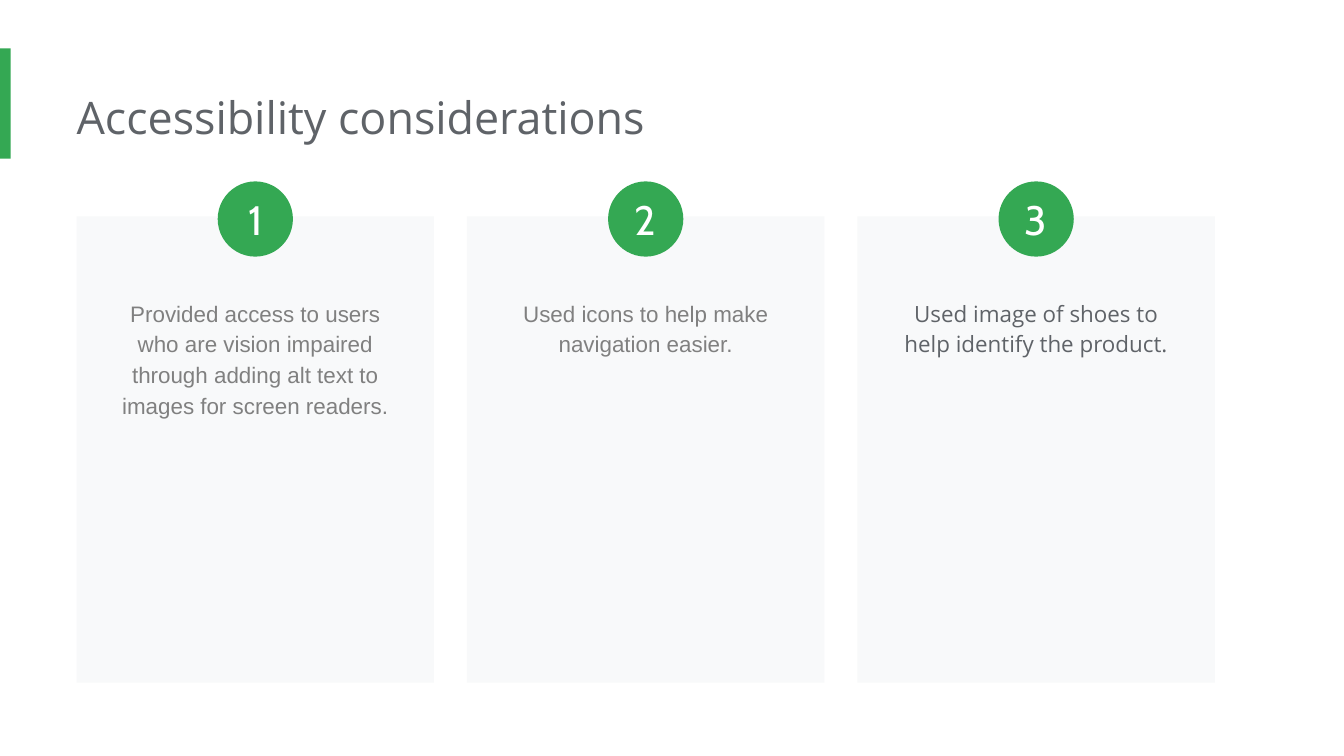
"""Build the accessibility considerations slide with three numbered cards."""
from pptx import Presentation, util as u
from pptx.dml.color import RGBColor
from pptx.enum import shapes, text

TITLE = "Accessibility considerations"
COLORS = {"green": "34A853", "card": "F8F9FA", "dark": "5F6368", "gray": "808080", "white": "FFFFFF"}
CARDS = [
    ("Provided access to users who are vision impaired through adding alt text to images for screen readers.",
     "Arial", "gray", 1.13),
    ("Used icons to help make navigation easier.", "Arial", "gray", 0.67),
    ("Used image of shoes to help identify the product.", "Open Sans", "dark", 0.67),
]
SLIDE_WIDTH = 10
SLIDE_HEIGHT = SLIDE_WIDTH * 9 / 16
LEFT, LAST_LEFT, TOP, WIDTH, HEIGHT = 0.57, 6.38, 1.61, 2.66, 3.47
PITCH = (LAST_LEFT - LEFT) / (len(CARDS) - 1)
TEXT_TOP, TEXT_WIDTH = 2.1, 2.24
BADGE_TOP, BADGE = 1.35, 0.56


def inches(*lengths):
    return [u.Inches(length) for length in lengths]


def write(box, words, *, font, size, color, align=text.PP_ALIGN.LEFT,
          anchor=text.MSO_ANCHOR.TOP, insets=(0.1, 0.1, 0.1, 0.1), spacing=1.0):
    frame = box.text_frame
    frame.word_wrap = True
    frame.auto_size = text.MSO_AUTO_SIZE.NONE
    frame.vertical_anchor = anchor
    frame.margin_left, frame.margin_top, frame.margin_right, frame.margin_bottom = inches(*insets)
    para = frame.paragraphs[0]
    para.alignment = align
    para.line_spacing = spacing
    span = para.add_run()
    span.text = words
    span.font.name = font
    span.font.size = u.Pt(size)
    span.font.color.rgb = RGBColor.from_string(COLORS[color])


def add_block(page, kind, color, *place):
    block = page.shapes.add_shape(kind, *inches(*place))
    block.shadow.inherit = False
    block.fill.solid()
    block.fill.fore_color.rgb = RGBColor.from_string(COLORS[color])
    block.line.fill.background()
    return block


def main():
    deck = Presentation()
    deck.slide_width, deck.slide_height = inches(SLIDE_WIDTH, SLIDE_HEIGHT)
    page = deck.slides.add_slide(deck.slide_layouts[5])

    title = page.shapes.title
    title.left, title.top, title.width, title.height = inches(LEFT, 0.57, 7.66, 0.61)
    write(title, TITLE, font="Open Sans", size=24, color="dark", insets=(0, 0.1, 0.1, 0.1))
    add_block(page, shapes.MSO_SHAPE.RECTANGLE, "green", 0, 0.36, 0.08, 0.82)

    for index, (words, font, color, height) in enumerate(CARDS):
        left = LEFT + index * PITCH
        middle = left + WIDTH / 2
        add_block(page, shapes.MSO_SHAPE.RECTANGLE, "card", left, TOP, WIDTH, HEIGHT)
        box = page.shapes.add_textbox(*inches(middle - TEXT_WIDTH / 2, TEXT_TOP, TEXT_WIDTH, height))
        write(box, words, font=font, size=12, color=color,
              align=text.PP_ALIGN.CENTER, spacing=1.15)
        badge = add_block(page, shapes.MSO_SHAPE.OVAL, "green",
                          middle - BADGE / 2, BADGE_TOP, BADGE, BADGE)
        write(badge, str(index + 1), font="Cabin", size=22, color="white",
              align=text.PP_ALIGN.CENTER, anchor=text.MSO_ANCHOR.MIDDLE, insets=(0, 0, 0, 0))

    deck.save("out.pptx")


if __name__ == "__main__":
    main()
